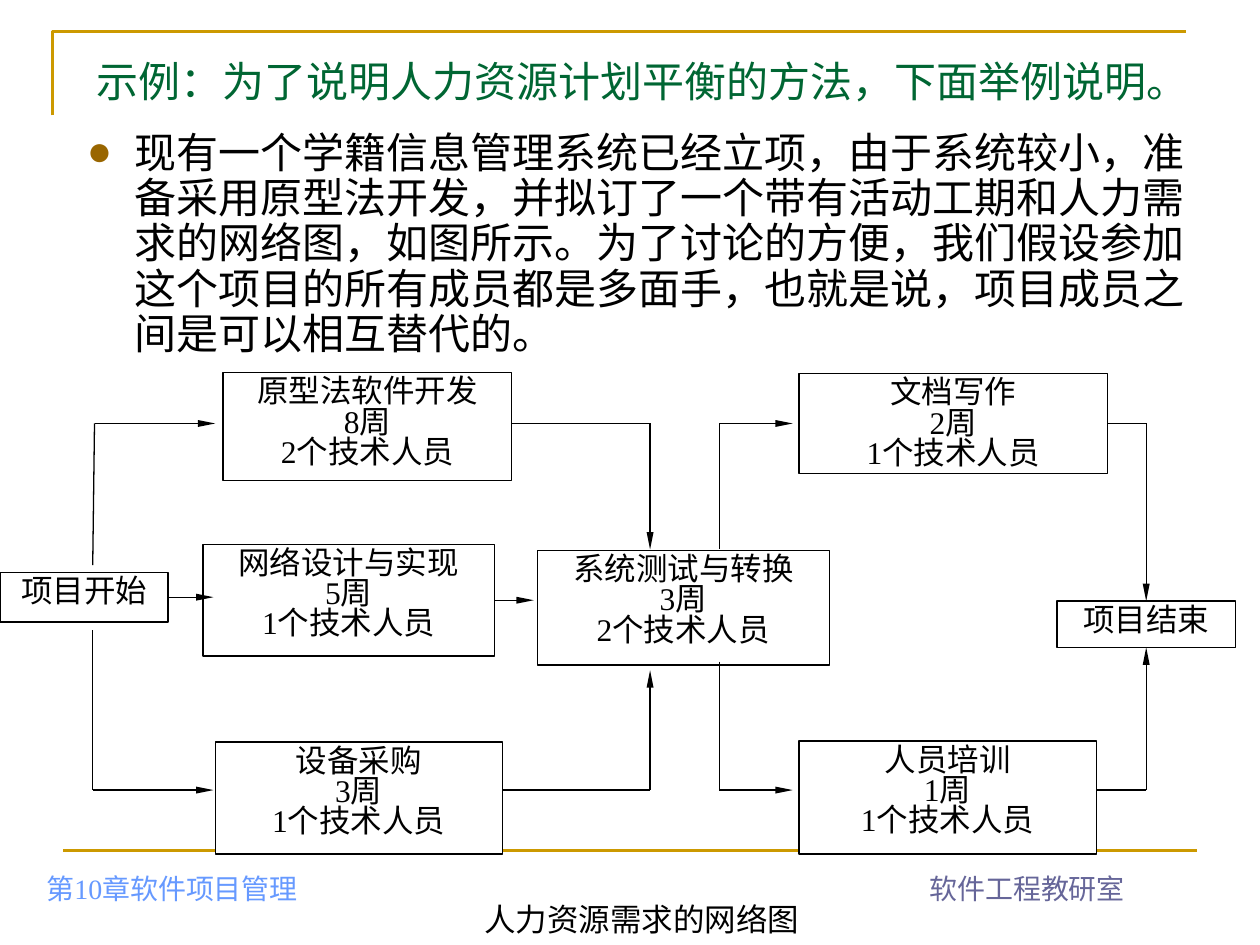
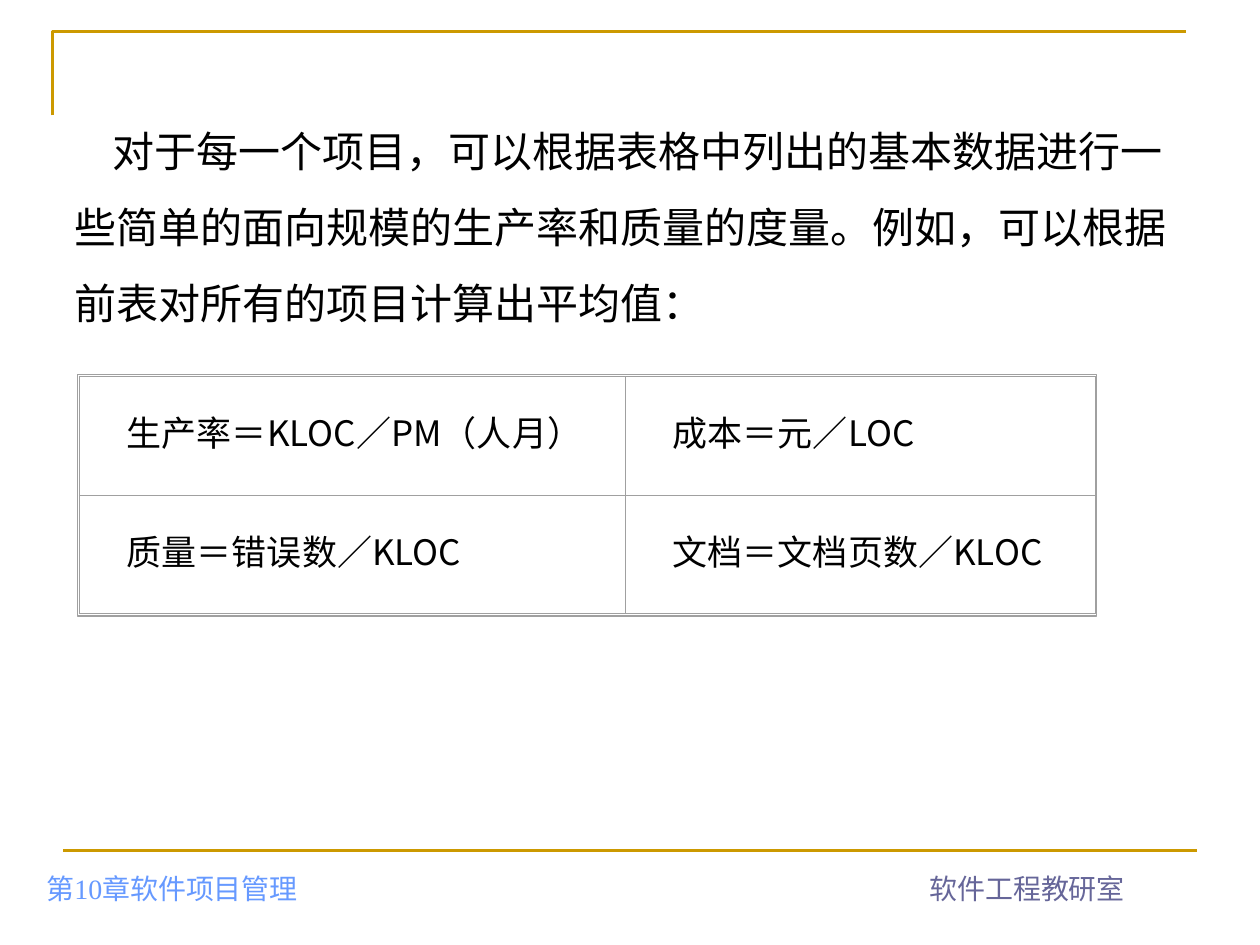
from dataclasses import dataclass
from typing import Any, Optional

import pptx
import pptx.dml.color
import pptx.enum.shapes
import pptx.enum.text
import pptx.oxml.ns
import pptx.presentation
import pptx.shapes.autoshape
import pptx.shapes.connector
import pptx.slide
import pptx.text.text
import pptx.util
from lxml import etree

Pt = pptx.util.Pt
qn = pptx.oxml.ns.qn
Align = pptx.enum.text.PP_ALIGN
Anchor = pptx.enum.text.MSO_ANCHOR
RECTANGLE = pptx.enum.shapes.MSO_SHAPE.RECTANGLE
STRAIGHT = pptx.enum.shapes.MSO_CONNECTOR.STRAIGHT


@dataclass(frozen=True)
class Theme:
    gold: str = "CC9900"
    bullet: str = "996600"
    title: str = "006633"
    chapter: str = "6699FF"
    department: str = "666699"
    ink: str = "000000"
    paper: str = "FFFFFF"
    grid: str = "A0A0A0"
    serif: str = "Times New Roman"
    sans: str = "Arial"
    chinese: str = "Noto Sans CJK SC"
    body_size: float = 24
    cell_size: float = 20
    label_size: float = 18
    footer_size: float = 16
    line_height: float = 1.2
    rule_width: float = 1.5
    thin_width: float = 0.75


THEME = Theme()


@dataclass(frozen=True)
class Style:
    size: float
    color: str = THEME.ink
    font: str = THEME.serif
    align: Any = Align.LEFT
    spacing: float = 1.0
    indent: float = 0


@dataclass(frozen=True)
class Box:
    left: float
    top: float
    width: float
    height: float

    def lengths(self) -> list[int]:
        return [Pt(value) for value in (self.left, self.top, self.width, self.height)]


@dataclass(frozen=True)
class TextBlock:
    box: Box
    text: str
    style: Style
    anchor: Any = Anchor.TOP
    wrap: bool = True


@dataclass(frozen=True)
class Joint:
    task: str
    side: int


@dataclass(frozen=True)
class Link:
    start: tuple[float, float]
    end: tuple[float, float]
    arrow: bool = False
    begin_joint: Optional[Joint] = None
    end_joint: Optional[Joint] = None


LABEL = Style(THEME.label_size, align=Align.CENTER, spacing=0.8)
BODY = Style(THEME.body_size, font=THEME.sans, spacing=0.9)
INTRO = Style(THEME.body_size, font=THEME.chinese, spacing=1.5, indent=22)
CELL = Style(THEME.cell_size, font=THEME.chinese, indent=20)

FOOTERS = [
    TextBlock(Box(19.5, 485, 284, 36), "第10章软件项目管理",
              Style(THEME.footer_size, THEME.chapter), Anchor.BOTTOM),
    TextBlock(Box(473, 485, 228, 36), "软件工程教研室",
              Style(THEME.footer_size, THEME.department, align=Align.CENTER), Anchor.BOTTOM),
]

TASKS = {
    "原型法软件开发": (Box(127.5, 213, 165, 61.5), ["8周", "2个技术人员"]),
    "文档写作": (Box(456.5, 213.5, 176.5, 57), ["2周", "1个技术人员"]),
    "网络设计与实现": (Box(116, 311, 166.5, 64), ["5周", "1个技术人员"]),
    "设备采购": (Box(123, 424, 164, 64), ["3周", "1个技术人员"]),
    "系统测试与转换": (Box(307, 314.5, 167, 65.5), ["3周", "2个技术人员"]),
    "人员培训": (Box(456.5, 423.5, 170, 64.5), ["1周", "1个技术人员"]),
    "项目开始": (Box(0, 327, 96, 28.5), []),
    "项目结束": (Box(604, 343.5, 102, 26.5), []),
}

UPPER, LOWER = 242, 451.5
START_X, MERGE_X, FORK_X, FINISH_X = 53, 371.5, 411, 655
LINKS = [
    Link((54, UPPER), (START_X, 323)),
    Link((START_X, 360), (START_X, LOWER)),
    Link((54, UPPER), (123, UPPER), True),
    Link((START_X, LOWER), (122, LOWER), True),
    Link((96, 341.25), (122, 341.25), True, Joint("项目开始", 3)),
    Link((292.5, UPPER), (MERGE_X, UPPER)),
    Link((287, LOWER), (MERGE_X, LOWER)),
    Link((MERGE_X, UPPER), (MERGE_X, 314), True),
    Link((MERGE_X, LOWER), (MERGE_X, 383), True),
    Link((282.5, 343), (305, 343), True, Joint("网络设计与实现", 3)),
    Link((FORK_X, UPPER), (FORK_X, 314)),
    Link((FORK_X, UPPER), (453, UPPER), True),
    Link((FORK_X, 378), (FORK_X, LOWER)),
    Link((FORK_X, LOWER), (453, LOWER), True),
    Link((633, UPPER), (FINISH_X, UPPER), False, Joint("文档写作", 3)),
    Link((626.5, LOWER), (FINISH_X, LOWER)),
    Link((FINISH_X, UPPER), (FINISH_X, 343.5), True, None, Joint("项目结束", 0)),
    Link((FINISH_X, LOWER), (FINISH_X, 370), True, None, Joint("项目结束", 2)),
]

METRICS = [
    ["生产率＝KLOC／PM（人月）", "成本＝元／LOC"],
    ["质量＝错误数／KLOC", "文档＝文档页数／KLOC"],
]


def rgb(color: str) -> pptx.dml.color.RGBColor:
    return pptx.dml.color.RGBColor.from_string(color)


def assign(target: Any, values: dict[str, Any]) -> None:
    for name, value in values.items():
        setattr(target, name, value)


def set_line(line: Any, color: str, width: float) -> None:
    line.color.rgb = rgb(color)
    line.width = Pt(width)


def write_lines(frame: pptx.text.text.TextFrame, lines: list[str], style: Style) -> None:
    for index, text in enumerate(lines):
        paragraph = frame.add_paragraph() if index else frame.paragraphs[0]
        line_pitch = style.size * THEME.line_height * style.spacing
        assign(paragraph, {"alignment": style.align, "line_spacing": Pt(round(line_pitch, 1))})
        if style.indent:
            paragraph._p.get_or_add_pPr().set("indent", str(Pt(style.indent)))
        run = paragraph.add_run()
        run.text = text
        assign(run.font, {"name": style.font, "size": Pt(style.size)})
        run.font.color.rgb = rgb(style.color)
        east_asian = etree.SubElement(run._r.get_or_add_rPr(), qn("a:ea"))
        east_asian.set("typeface", THEME.chinese)


def add_text(slide: pptx.slide.Slide, block: TextBlock) -> pptx.text.text.TextFrame:
    frame = slide.shapes.add_textbox(*block.box.lengths()).text_frame
    assign(frame, {"word_wrap": block.wrap, "vertical_anchor": block.anchor})
    write_lines(frame, [block.text], block.style)
    return frame


def add_bullet(paragraph: Any) -> None:
    properties = paragraph._p.get_or_add_pPr()
    properties.set("marL", str(Pt(27)))
    properties.set("indent", str(Pt(-27)))
    color = etree.SubElement(properties, qn("a:buClr"))
    etree.SubElement(color, qn("a:srgbClr")).set("val", THEME.bullet)
    etree.SubElement(properties, qn("a:buFont")).set("typeface", THEME.sans)
    etree.SubElement(properties, qn("a:buChar")).set("char", "●")


def add_line(slide: pptx.slide.Slide, start: tuple[float, float], end: tuple[float, float],
             color: str, width: float) -> pptx.shapes.connector.Connector:
    connector = slide.shapes.add_connector(STRAIGHT, *map(Pt, (*start, *end)))
    set_line(connector.line, color, width)
    etree.SubElement(connector._element.spPr, qn("a:effectLst"))
    return connector


def add_rectangle(slide: pptx.slide.Slide, box: Box, color: str, width: float,
                  fill: Optional[str] = None) -> pptx.shapes.autoshape.Shape:
    shape = slide.shapes.add_shape(RECTANGLE, *box.lengths())
    shape.shadow.inherit = False
    set_line(shape.line, color, width)
    if fill:
        shape.fill.solid()
        shape.fill.fore_color.rgb = rgb(fill)
    else:
        shape.fill.background()
    return shape


def add_framed_slide(presentation: pptx.presentation.Presentation) -> pptx.slide.Slide:
    """Add a blank slide with the gold corner, the bottom rule and the footers."""
    slide = presentation.slides.add_slide(presentation.slide_layouts[6])
    builder = slide.shapes.build_freeform(Pt(30), Pt(66))
    builder.add_line_segments([(Pt(30), Pt(18)), (Pt(678), Pt(18))], close=False)
    corner = builder.convert_to_shape()
    corner.shadow.inherit = False
    corner.fill.background()
    set_line(corner.line, THEME.gold, THEME.rule_width)
    add_line(slide, (36, 486), (684, 486), THEME.gold, THEME.rule_width)
    for footer in FOOTERS:
        add_text(slide, footer)
    return slide


def add_task(slide: pptx.slide.Slide, name: str) -> pptx.shapes.autoshape.Shape:
    box, details = TASKS[name]
    shape = add_rectangle(slide, box, THEME.ink, THEME.thin_width, THEME.paper)
    assign(shape.text_frame, {"word_wrap": True, "vertical_anchor": Anchor.TOP})
    write_lines(shape.text_frame, [name, *details], LABEL)
    return shape


def add_link(slide: pptx.slide.Slide, link: Link, tasks: dict[str, Any]) -> None:
    connector = add_line(slide, link.start, link.end, THEME.ink, THEME.thin_width)
    if link.begin_joint:
        connector.begin_connect(tasks[link.begin_joint.task], link.begin_joint.side)
    if link.end_joint:
        connector.end_connect(tasks[link.end_joint.task], link.end_joint.side)
    if link.arrow:
        head = etree.SubElement(connector.line._get_or_add_ln(), qn("a:tailEnd"))
        for name, value in {"type": "triangle", "w": "sm", "len": "lg"}.items():
            head.set(name, value)


def add_cell_borders(cell: Any) -> None:
    properties = cell._tc.get_or_add_tcPr()
    for side in "LRTB":
        border = etree.SubElement(properties, qn(f"a:ln{side}"), w=str(Pt(0.5)))
        fill = etree.SubElement(border, qn("a:solidFill"))
        etree.SubElement(fill, qn("a:srgbClr")).set("val", THEME.grid)


def build_network_slide(presentation: pptx.presentation.Presentation) -> None:
    slide = add_framed_slide(presentation)
    add_text(slide, TextBlock(
        Box(48, 26, 652.5, 40), "示例：为了说明人力资源计划平衡的方法，下面举例说明。",
        Style(THEME.body_size, THEME.title), Anchor.MIDDLE))
    body = add_text(slide, TextBlock(
        Box(42.5, 71.5, 652.5, 137),
        "现有一个学籍信息管理系统已经立项，由于系统较小，准备采用原型法开发，"
        "并拟订了一个带有活动工期和人力需求的网络图，如图所示。为了讨论的方便，"
        "我们假设参加这个项目的所有成员都是多面手，也就是说，项目成员之间是可以相互替代的。",
        BODY))
    add_bullet(body.paragraphs[0])
    add_text(slide, TextBlock(
        Box(269.5, 511, 194.5, 29), "人力资源需求的网络图",
        Style(THEME.label_size, align=Align.CENTER), wrap=False))
    tasks = {name: add_task(slide, name) for name in TASKS}
    for link in LINKS:
        add_link(slide, link, tasks)


def build_metrics_slide(presentation: pptx.presentation.Presentation) -> None:
    slide = add_framed_slide(presentation)
    add_text(slide, TextBlock(
        Box(35.5, 54, 656.5, 120),
        "对于每一个项目，可以根据表格中列出的基本数据进行一些简单的面向规模的"
        "生产率和质量的度量。例如，可以根据前表对所有的项目计算出平均值：", INTRO))
    table_box = Box(45.25, 215.25, 581, 135.5)
    table = slide.shapes.add_table(2, 2, *table_box.lengths()).table
    assign(table, {"first_row": False, "horz_banding": False})
    for column, width in zip(table.columns, (312, 269)):
        column.width = Pt(width)
    for row, texts in zip(table.rows, METRICS):
        for cell, text in zip(row.cells, texts):
            assign(cell, {"vertical_anchor": Anchor.MIDDLE,
                          "margin_left": Pt(7.2), "margin_right": Pt(7.2)})
            add_cell_borders(cell)
            cell.fill.background()
            write_lines(cell.text_frame, [text], CELL)
    add_rectangle(slide, Box(44.5, 214, 582, 138), THEME.grid, THEME.thin_width)


def main() -> None:
    presentation = pptx.Presentation()
    assign(presentation, {"slide_width": Pt(720), "slide_height": Pt(540)})
    build_network_slide(presentation)
    build_metrics_slide(presentation)
    presentation.save("out.pptx")


if __name__ == "__main__":
    main()
